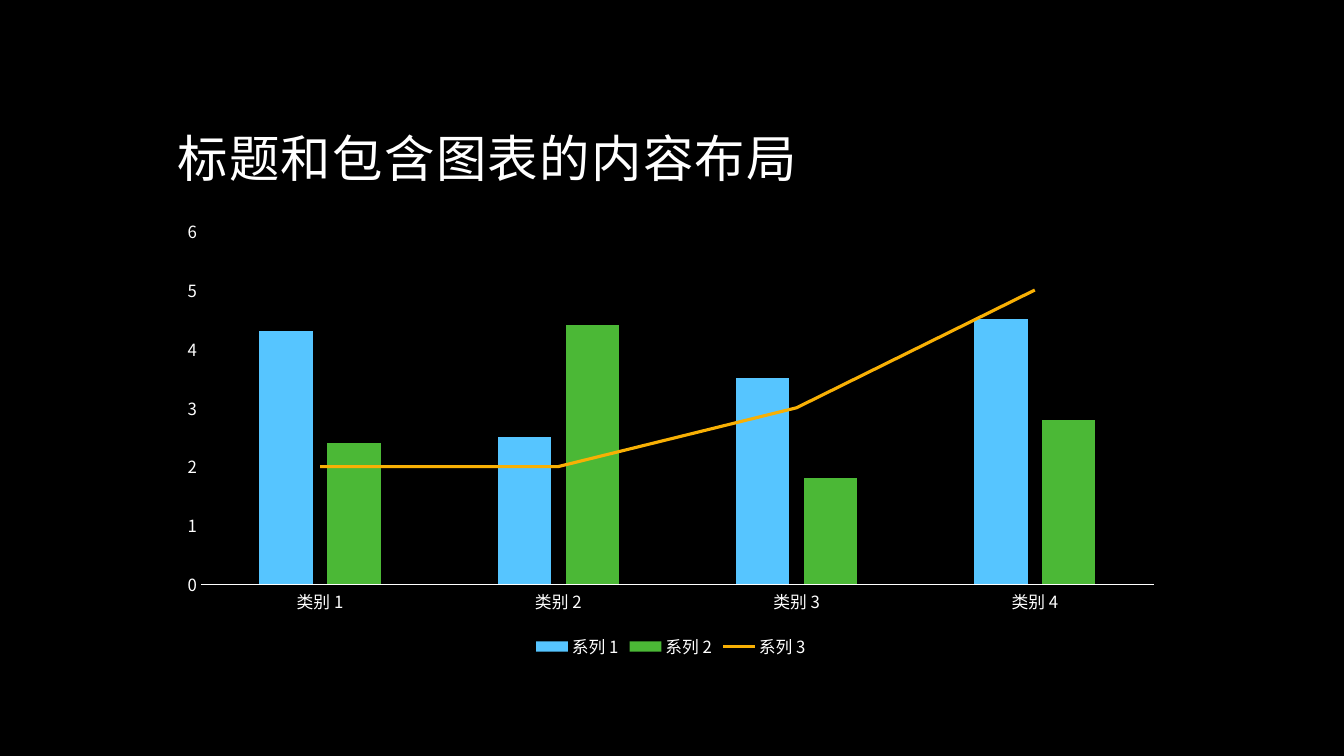
from dataclasses import dataclass

from pptx import Presentation
from pptx.chart.chart import Chart
from pptx.chart.data import CategoryChartData
from pptx.dml.color import RGBColor
from pptx.enum.chart import XL_CHART_TYPE, XL_LEGEND_POSITION, XL_MARKER_STYLE, XL_TICK_MARK
from pptx.enum.text import MSO_ANCHOR
from pptx.oxml.ns import qn
from pptx.oxml.xmlchemy import OxmlElement
from pptx.text.text import Font
from pptx.util import Cm, Pt

FACE = "Noto Sans CJK SC"
WHITE = "FFFFFF"
BLACK = "000000"


@dataclass(frozen=True)
class Series:
    name: str
    vals: tuple[float, ...]
    color: str


BARS = (
    Series("系列 1", (4.3, 2.5, 3.5, 4.5), "56C5FF"),
    Series("系列 2", (2.4, 4.4, 1.8, 2.8), "4BB836"),
)
TREND = Series("系列 3", (2, 2, 3, 5), "F8B004")


def paint(target, color: str) -> None:
    if hasattr(target, "solid"):
        target.solid()
        target = target.fore_color
    target.rgb = RGBColor.from_string(color)


def set_font(font: Font, size: float, color: str = WHITE) -> None:
    font.size = Pt(size)
    font.name = FACE
    font.bold = False
    paint(font.color, color)
    asian = OxmlElement("a:ea")
    asian.set("typeface", FACE)
    font._element.find(qn("a:latin")).addnext(asian)


def add_text(slide, text: str, *, left: float, top: float, width: float,
             height: float, size: float, gap: int, lines: float) -> None:
    box = slide.shapes.add_textbox(Cm(left), Cm(top), Cm(width), Cm(height))
    frame = box.text_frame
    frame.word_wrap = True
    frame.vertical_anchor = MSO_ANCHOR.BOTTOM
    para = frame.paragraphs[0]
    para.line_spacing = lines
    run = para.add_run()
    run.text = text
    set_font(run.font, size)
    run.font._element.set("spc", str(gap))


def add_part(parent, tag: str, val: str):
    part = OxmlElement(tag)
    part.set("val", val)
    parent.append(part)


def move_trend(chart: Chart) -> None:
    bars = chart.plots[0]
    trend = bars.series[len(BARS)]._element
    columns = trend.getparent()
    lines = OxmlElement("c:lineChart")
    add_part(lines, "c:grouping", "standard")
    add_part(lines, "c:varyColors", "0")
    invert = trend.find(qn("c:invertIfNegative"))
    if invert is not None:
        trend.remove(invert)
    lines.append(trend)
    add_part(lines, "c:marker", "1")
    for axis in columns.findall(qn("c:axId")):
        add_part(lines, "c:axId", axis.get("val"))
    columns.addnext(lines)


def style_axes(chart: Chart) -> None:
    for axis in (chart.category_axis, chart.value_axis):
        axis.major_tick_mark = XL_TICK_MARK.NONE
        axis.minor_tick_mark = XL_TICK_MARK.NONE
        axis.has_major_gridlines = False
        set_font(axis.tick_labels.font, 12)
    base = chart.category_axis.format.line
    base.width = Pt(0.75)
    paint(base.fill, WHITE)
    scale = chart.value_axis
    scale.format.line.fill.background()
    scale.minimum_scale, scale.maximum_scale, scale.major_unit = 0, 6, 1


def add_combo(slide) -> None:
    data = CategoryChartData()
    data.categories = [f"类别 {num}" for num in range(1, 5)]
    for item in (*BARS, TREND):
        data.add_series(item.name, item.vals)
    frame = slide.shapes.add_chart(
        XL_CHART_TYPE.COLUMN_CLUSTERED, Cm(4.22), Cm(5.28), Cm(25.37), Cm(11.43), data)
    chart = frame.chart
    chart.has_title = False
    set_font(chart.font, 10)
    move_trend(chart)
    bars, lines = chart.plots
    bars.gap_width = 219
    bars.overlap = -27
    bars.vary_by_categories = False
    for item, series in zip(BARS, bars.series):
        paint(series.format.fill, item.color)
    trend = lines.series[0]
    trend.smooth = False
    trend.marker.style = XL_MARKER_STYLE.NONE
    trend.format.line.width = Pt(2.25)
    paint(trend.format.line.fill, TREND.color)
    style_axes(chart)
    chart.has_legend = True
    chart.legend.position = XL_LEGEND_POSITION.BOTTOM
    chart.legend.include_in_layout = False
    set_font(chart.legend.font, 12)


def main() -> None:
    deck = Presentation()
    deck.slide_width, deck.slide_height = Cm(33.87), Cm(19.05)
    slide = deck.slides.add_slide(deck.slide_layouts[6])
    paint(slide.background.fill, BLACK)
    add_text(slide, "标题和包含图表的内容布局", left=4.22, top=1.07, width=25.4,
             height=3.81, size=36, gap=100, lines=0.9)
    add_combo(slide)
    deck.save("out.pptx")


if __name__ == "__main__":
    main()
